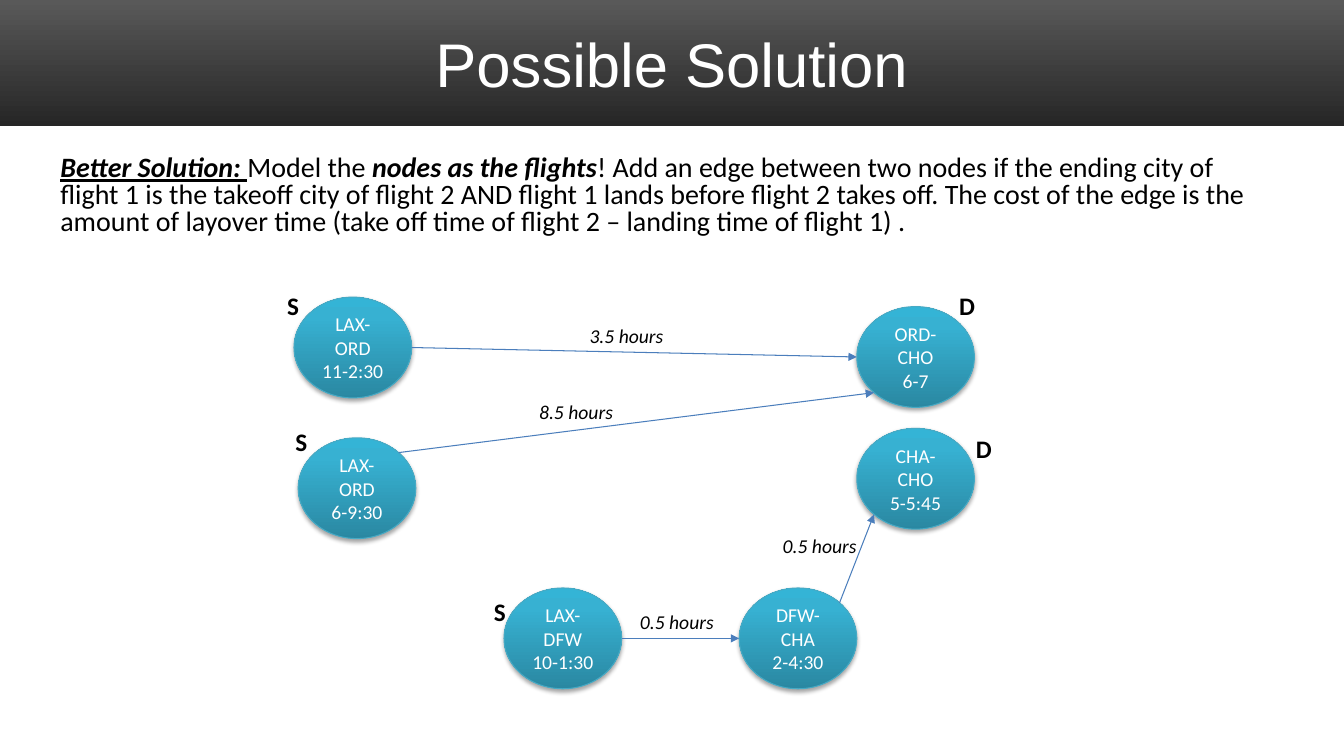
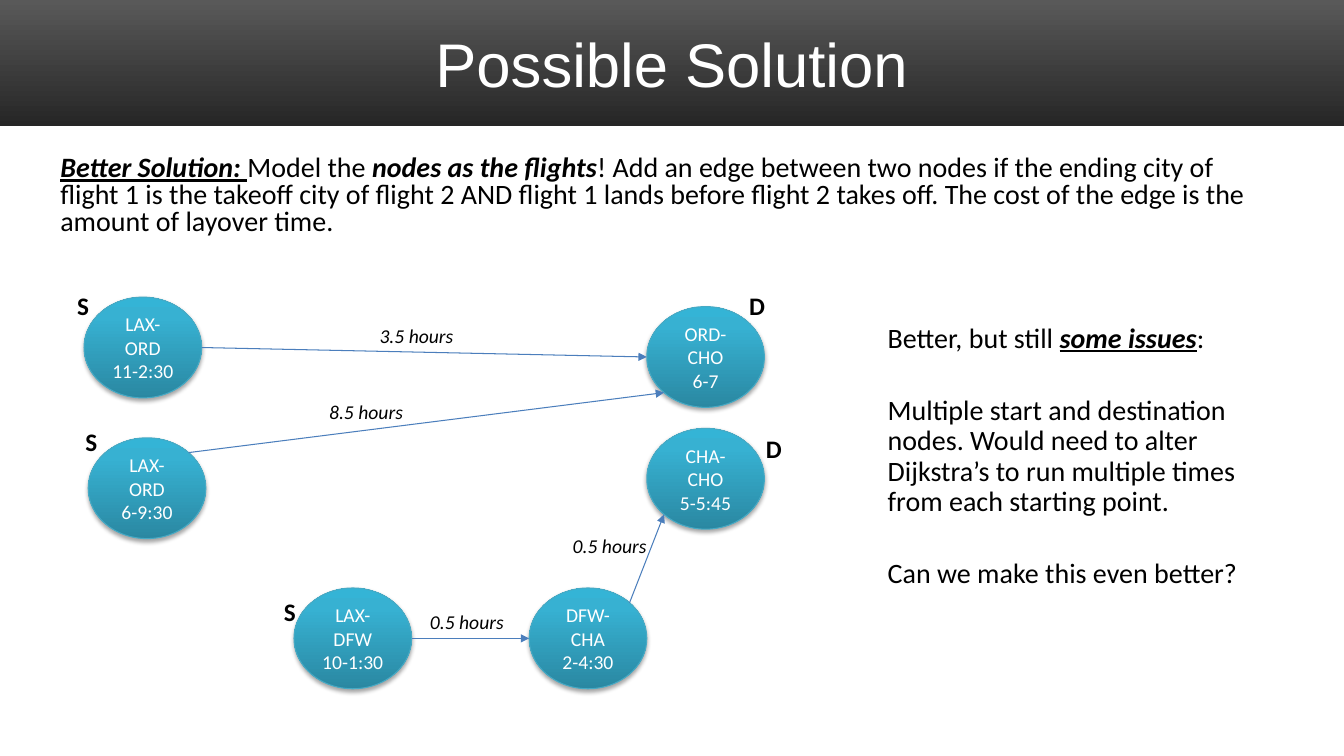
import math

import lxml.etree
import pptx
import pptx.dml.color
import pptx.enum.shapes
import pptx.enum.text
import pptx.oxml.ns
import pptx.util

WIDE, HIGH = 1280, 720
WHITE, BLACK = "FFFFFF", "000000"
BAND = [(0, "595959"), (100, "262626")]
TEAL = [(0, "2A88A2"), (80, "37B1D2"), (100, "34B4D6")]
RIM, EDGE = "46AAC5", "4B7EBC"
NODE_W, NODE_H = 112, 96

# Places inside the graph, measured from its top left corner
NODES = {
    "early": (16, 11, "LAX-ORD", "11-2:30"),
    "late": (20, 145, "LAX-ORD", "6-9:30"),
    "dallas": (216, 288, "LAX-DFW", "10-1:30"),
    "middle": (440, 288, "DFW-CHA", "2-4:30"),
    "chicago": (552, 20, "ORD-CHO", "6-7"),
    "last": (552, 136, "CHA-CHO", "5-5:45"),
}
# Start node, angle; end node, angle (clockwise from the right)
EDGES = [
    ("early", 0, "chicago", 180),
    ("late", -45, "chicago", 135),
    ("dallas", 0, "middle", 180),
    ("middle", -45, "last", 135),
]
MARKS = [(0, 0, "S"), (8, 129, "S"), (197, 291, "S"), (640, 0, "D"), (656, 136, "D")]
HOURS = [
    (288, 32, "3.5 hours"),
    (240, 104, "8.5 hours"),
    (336, 304, "0.5 hours"),
    (472, 232, "0.5 hours"),
]

INTRO = [
    ("Better Solution: ", "biu"),
    ("Model the ", ""),
    ("nodes as the flights", "bi"),
]
RULE = (
    "! Add an edge between two nodes if the ending city of flight 1 is the "
    "takeoff city of flight 2 AND flight 1 lands before flight 2 takes off. "
    "The cost of the edge is the amount of layover time"
)
DETAIL = " (take off time of flight 2 – landing time of flight 1) ."
ISSUES = [
    [("Better, but still ", ""), ("some issues", "biu"), (":", "")],
    [(
        "Multiple start and destination nodes. Would need to alter Dijkstra’s "
        "to run multiple times from each starting point.", "",
    )],
    [("Can we make this even better?", "")],
]


def px(n):
    return pptx.util.Emu(round(n * 9525))


def color(code):
    return pptx.dml.color.RGBColor.from_string(code)


def add(parent, tag, **attrs):
    """Append a DrawingML element."""
    item = lxml.etree.SubElement(parent, pptx.oxml.ns.qn("a:" + tag))
    for key, value in attrs.items():
        item.set(key, str(value))
    return item


def shade(shape, stops, angle):
    """Fill with a gradient; the angle runs counterclockwise."""
    shape.fill.gradient()
    shape.fill.gradient_angle = angle
    group = shape.element.spPr.find(".//" + pptx.oxml.ns.qn("a:gsLst"))
    for old in list(group):
        group.remove(old)
    for place, code in stops:
        add(add(group, "gs", pos=place * 1000), "srgbClr", val=code)


def style(run, size, code, flags="", face="Calibri"):
    font = run.font
    font.size, font.name = pptx.util.Pt(size), face
    font.color.rgb = color(code)
    font.bold, font.italic, font.underline = (f in flags for f in "biu")


def write(slide, box, paras, size, code=BLACK, face="Calibri", space=1, gap=0):
    """Add a text box; each paragraph is a list of (text, flags)."""
    frame = slide.shapes.add_textbox(*map(px, box)).text_frame
    frame.word_wrap = True
    for i, parts in enumerate(paras):
        para = frame.add_paragraph() if i else frame.paragraphs[0]
        para.line_spacing = space
        if i:
            para.space_before = pptx.util.Pt(gap)
        for text, flags in parts:
            run = para.add_run()
            run.text = text
            style(run, size, code, flags, face)
    return frame


def header(slide, title):
    band = slide.shapes.add_shape(
        pptx.enum.shapes.MSO_SHAPE.RECTANGLE, 0, 0, px(WIDE), px(120))
    band.shadow.inherit = False
    band.line.fill.background()
    shade(band, BAND, 270)
    frame = write(slide, (64, 16, 1152, 88), [[(title, "")]], 44, WHITE, "Arial")
    frame.vertical_anchor = pptx.enum.text.MSO_ANCHOR.MIDDLE
    frame.paragraphs[0].alignment = pptx.enum.text.PP_ALIGN.CENTER


def node(slide, x, y, route, times):
    oval = slide.shapes.add_shape(
        pptx.enum.shapes.MSO_SHAPE.OVAL, px(x), px(y), px(NODE_W), px(NODE_H))
    shade(oval, TEAL, 90)
    oval.line.color.rgb = color(RIM)
    oval.line.width = pptx.util.Pt(0.75)
    oval.shadow.inherit = False
    effects = oval.element.spPr.find(pptx.oxml.ns.qn("a:effectLst"))
    glow = add(effects, "outerShdw", blurRad=40000, dist=23000,
               dir=5400000, rotWithShape=0)
    add(add(glow, "srgbClr", val=BLACK), "alpha", val=35000)
    frame = oval.text_frame
    frame.text = f"{route}\n{times}"
    frame.vertical_anchor = pptx.enum.text.MSO_ANCHOR.MIDDLE
    for para in frame.paragraphs:
        para.alignment = pptx.enum.text.PP_ALIGN.CENTER
        style(para.runs[0], 14, WHITE)


def rim(name, angle):
    """Point on the outline of a node, within the graph."""
    x, y = NODES[name][:2]
    turn = math.radians(angle)
    return (x + NODE_W / 2 * (1 + math.cos(turn)),
            y + NODE_H / 2 * (1 + math.sin(turn)))


def arrow(slide, start, end):
    line = slide.shapes.add_connector(
        pptx.enum.shapes.MSO_CONNECTOR.STRAIGHT, *map(px, start + end))
    line.line.color.rgb = color(EDGE)
    line.line.width = pptx.util.Pt(0.75)
    add(line.line._get_or_add_ln(), "tailEnd", type="triangle")
    add(line.element.spPr, "effectLst")


def graph(slide, left, top):
    for x, y, route, times in NODES.values():
        node(slide, left + x, top + y, route, times)
    for tail, leave, head, reach in EDGES:
        ends = [(left + x, top + y)
                for x, y in (rim(tail, leave), rim(head, reach))]
        arrow(slide, *ends)
    for items, wide, high, size, flag in (
            (MARKS, 40, 38, 18, "b"), (HOURS, 129, 33, 14, "i")):
        for x, y, text in items:
            write(slide, (left + x, top + y, wide, high), [[(text, flag)]], size)


def flights(deck, left, ending):
    """Add a slide with the title, the rule and the flight graph."""
    slide = deck.slides.add_slide(deck.slide_layouts[6])
    header(slide, "Possible Solution")
    write(slide, (48, 144, 1168, 94), [INTRO + [(RULE + ending, "")]], 20, space=0.8)
    graph(slide, left, 272)
    return slide


def main():
    deck = pptx.Presentation()
    deck.slide_width, deck.slide_height = px(WIDE), px(HIGH)
    flights(deck, 264, DETAIL)
    slide = flights(deck, 64, ".")
    write(slide, (836, 304, 396, 384), ISSUES, 20, space=0.9, gap=30)
    deck.save("out.pptx")


if __name__ == "__main__":
    main()
